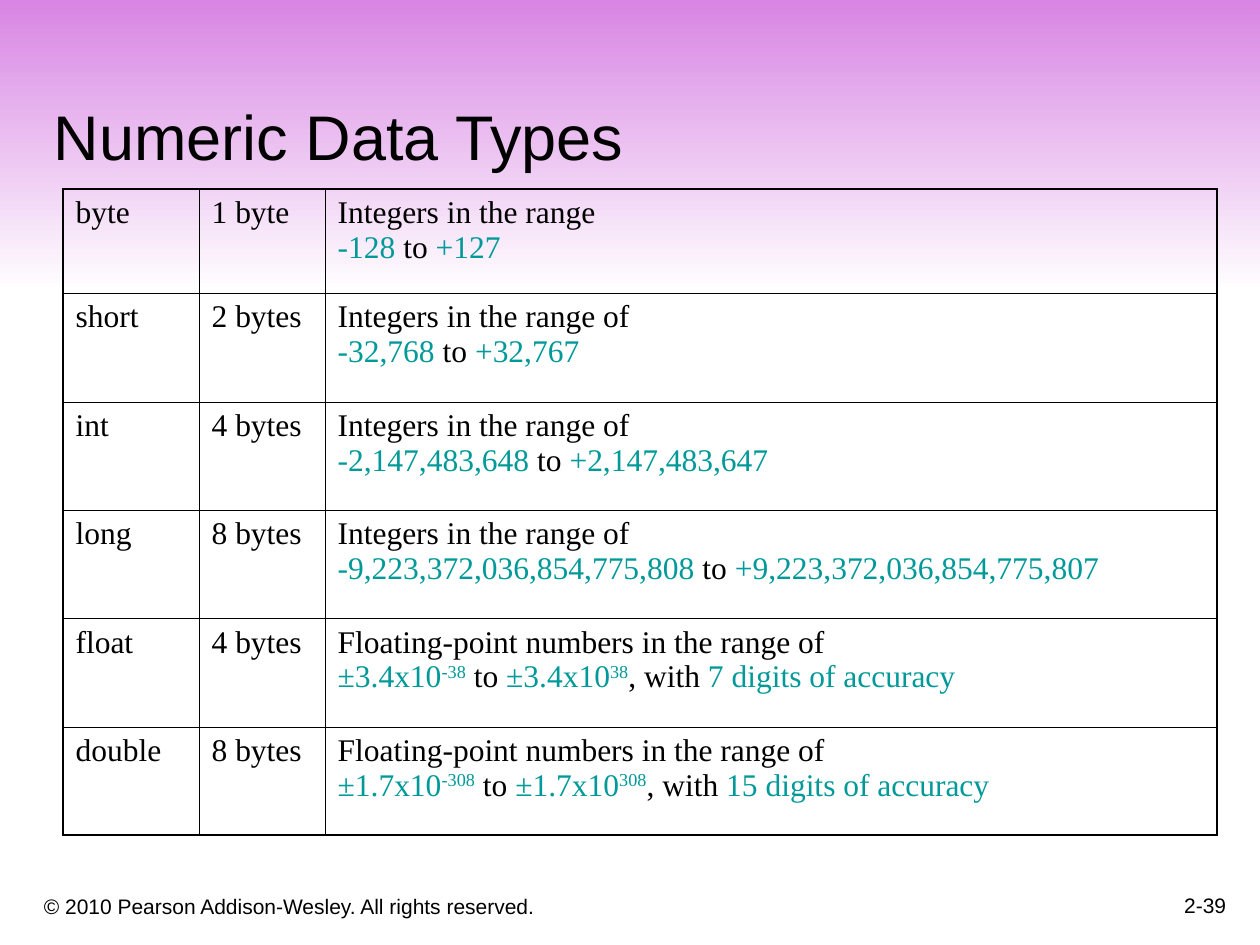
from lxml import etree
from pptx import Presentation
from pptx.dml.color import RGBColor
from pptx.enum.shapes import MSO_SHAPE
from pptx.enum.text import MSO_ANCHOR, PP_ALIGN
from pptx.oxml.ns import qn
from pptx.util import Inches, Pt

RECT = MSO_SHAPE.RECTANGLE
BOTTOM = MSO_ANCHOR.BOTTOM
LEFT, RIGHT = PP_ALIGN.LEFT, PP_ALIGN.RIGHT

WIDTHS = [1.08, 1, 7.08]
HEIGHTS = [0.83] + [0.86] * 5
TYPES = [
    ("byte", "1 byte", "Integers in the range", "|-128| to |+127"),
    ("short", "2 bytes", "Integers in the range of", "|-32,768| to |+32,767"),
    ("int", "4 bytes", "Integers in the range of",
     "|-2,147,483,648| to |+2,147,483,647"),
    ("long", "8 bytes", "Integers in the range of",
     "|-9,223,372,036,854,775,808| to |+9,223,372,036,854,775,807"),
    ("float", "4 bytes", "Floating-point numbers in the range of",
     "|±3.4x10^-38| to |±3.4x10^38|, with |7 digits of accuracy"),
    ("double", "8 bytes", "Floating-point numbers in the range of",
     "|±1.7x10^-308| to |±1.7x10^308|, with |15 digits of accuracy"),
]


def color(code):
    return RGBColor.from_string(code)


class Deck:
    sans, serif = "Arial", "Times New Roman"
    ink, teal = "000000", "009999"
    top, base = "D885E3", "FFFFFF"
    thick, thin = 1.08, 0.45

    def __init__(self, prs):
        self.slide = prs.slides.add_slide(prs.slide_layouts[6])

    def band(self, x, y, w, h):
        shape = self.slide.shapes.add_shape(
            RECT, Inches(x), Inches(y), Inches(w), Inches(h))
        shape.shadow.inherit = False
        shape.line.fill.background()
        shape.fill.gradient()
        shape.fill.gradient_angle = 270
        for stop, code in zip(shape.fill.gradient_stops, (self.top, self.base)):
            stop.color.rgb = color(code)

    def font(self, para, face, size):
        para.font.name = face
        para.font.size = Pt(size)
        para.font.color.rgb = color(self.ink)

    def text(self, x, y, w, h, words, size, align=LEFT):
        box = self.slide.shapes.add_textbox(
            Inches(x), Inches(y), Inches(w), Inches(h))
        frame = box.text_frame
        frame.word_wrap = True
        frame.vertical_anchor = BOTTOM
        para = frame.paragraphs[0]
        para.text = words
        para.alignment = align
        self.font(para, self.sans, size)

    def rich(self, para, line):
        self.font(para, self.serif, 18)
        for i, part in enumerate(line.split("|")):
            for j, piece in enumerate(part.split("^")):
                if not piece:
                    continue
                run = para.add_run()
                run.text = piece
                if i % 2:
                    run.font.color.rgb = color(self.teal)
                if j:
                    run._r.get_or_add_rPr().set("baseline", "30000")

    def border(self, cell, edges):
        props = cell._tc.get_or_add_tcPr()
        for side, outer in edges.items():
            width = Pt(self.thick if outer else self.thin)
            line = etree.SubElement(props, qn("a:ln" + side), w=str(width))
            fill = etree.SubElement(line, qn("a:solidFill"))
            etree.SubElement(fill, qn("a:srgbClr"), val=self.ink)

    def table(self, x, y, widths, heights, rows):
        count, span = len(heights), len(widths)
        table = self.slide.shapes.add_table(
            count, span, Inches(x), Inches(y),
            Inches(sum(widths)), Inches(sum(heights))).table
        table.first_row = table.horz_banding = False
        for col, width in zip(table.columns, widths):
            col.width = Inches(width)
        for r, (height, (name, size, *lines)) in enumerate(zip(heights, rows)):
            table.rows[r].height = Inches(height)
            for c, group in enumerate(([name], [size], lines)):
                cell = table.cell(r, c)
                frame = cell.text_frame
                for i, line in enumerate(group):
                    para = frame.add_paragraph() if i else frame.paragraphs[0]
                    self.rich(para, line)
                self.border(cell, {"L": c == 0, "R": c == span - 1,
                                   "T": r == 0, "B": r == count - 1})
                cell.fill.background()


def main():
    prs = Presentation()
    prs.slide_width, prs.slide_height = Inches(10), Inches(7.5)
    deck = Deck(prs)
    deck.band(0, 0, 10, 2.32)
    deck.text(0.25, 6.92, 6.08, 0.42,
              "© 2010 Pearson Addison-Wesley. All rights reserved.", 12)
    deck.text(7.75, 6.83, 2.08, 0.5, "2-39", 12, RIGHT)
    deck.text(0.33, 0.33, 9.42, 1.09, "Numeric Data Types", 36)
    deck.table(0.5, 1.5, WIDTHS, HEIGHTS, TYPES)
    prs.save("out.pptx")


if __name__ == "__main__":
    main()
